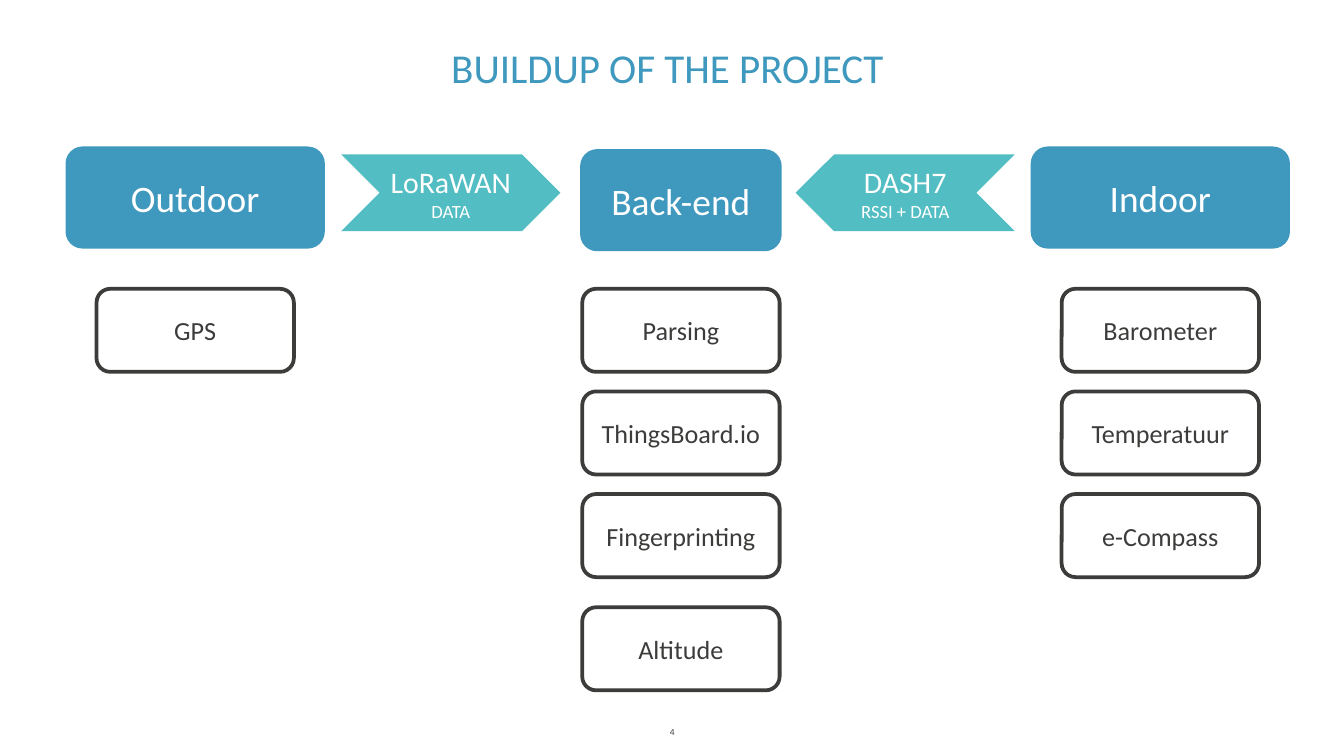
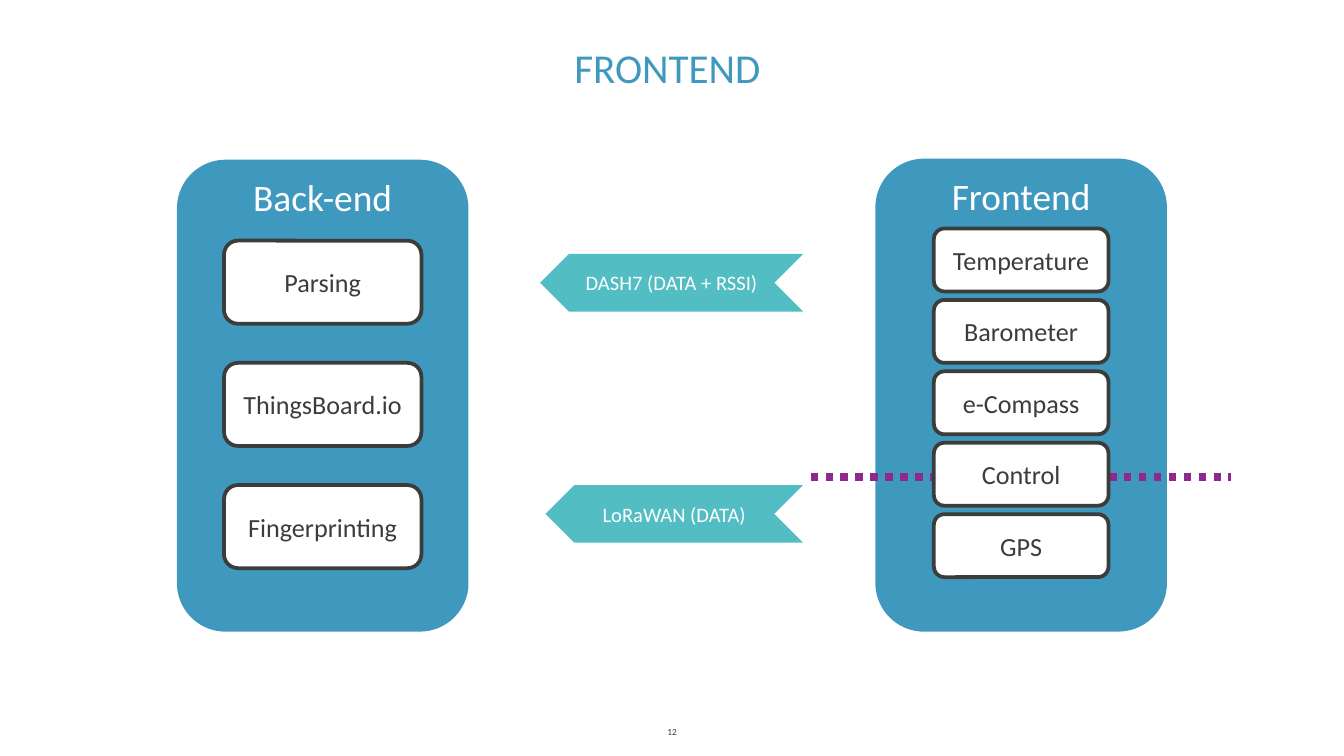
from lxml.etree import SubElement
from pptx import Presentation
from pptx.dml.color import RGBColor
from pptx.enum.dml import MSO_LINE
from pptx.enum.shapes import MSO_CONNECTOR, MSO_SHAPE
from pptx.enum.text import MSO_ANCHOR, PP_ALIGN
from pptx.oxml.ns import qn
from pptx.util import Cm, Pt

# Content: slide 1
BUILDUP = {"title": "BUILDUP OF THE PROJECT", "number": "4"}
# heading, centre, top, width, modules
COLUMNS = [
    ("Outdoor", 3.69, 2.77, 4.9, ["GPS"]),
    ("Back-end", 12.87, 2.82, 3.81,
     ["Parsing", "ThingsBoard.io", "Fingerprinting", "Altitude"]),
    ("Indoor", 21.93, 2.77, 4.9, ["Barometer", "Temperatuur", "e-Compass"]),
]
# protocol, payload, left, points left
PROTOCOLS = [("LoRaWAN", "DATA", 6.45, False), ("DASH7", "RSSI + DATA", 15.04, True)]

# Content: slide 2
FRONTEND = {"title": "FRONTEND", "number": "12"}
# heading, centre, top, modules, first module top, pitch, module size
PANELS = [
    ("Back-end", 6.1, 3.02, ["Parsing", "ThingsBoard.io", "Fingerprinting"],
     4.55, 2.31, (3.73, 1.57)),
    ("Frontend", 19.3, 3.0, ["Temperature", "Barometer", "e-Compass", "Control", "GPS"],
     4.32, 1.35, (3.3, 1.19)),
]
# label, left, top
LINKS = [("DASH7 (DATA + RSSI)", 10.21, 4.8), ("LoRaWAN (DATA)", 10.31, 9.17)]

# Shared look
COLOURS = {"blue": "3F98BD", "teal": "52BDC2", "dark": "3C3C3B",
           "white": "FFFFFF", "purple": "90298D"}
FONT = "Calibri"
MODULE_SIZE = (3.73, 1.57)
HEADING_HEIGHT = 2.01 - 0.08
PANEL_WIDTH, PANEL_BOTTOM = 5.51, 11.94
LINK_RIGHT = 15.18

FRAME = {"word_wrap": True, "vertical_anchor": MSO_ANCHOR.MIDDLE,
         "margin_left": 0, "margin_right": 0}


def colour(name):
    return RGBColor.from_string(COLOURS[name])


def write(shape, lines, ink, **frame_format):
    """Fill a shape with centred lines, each given as (text, size)."""
    frame = shape.text_frame
    for name, value in {**FRAME, **frame_format}.items():
        setattr(frame, name, value)
    for index, (text, size) in enumerate(lines):
        paragraph = frame.add_paragraph() if index else frame.paragraphs[0]
        paragraph.alignment = PP_ALIGN.CENTER
        run = paragraph.add_run()
        run.text = text
        for name, value in {"name": FONT, "size": Pt(size)}.items():
            setattr(run.font, name, value)
        run.font.color.rgb = colour(ink)


def add_text(slide, box, text, size, ink, **frame_format):
    shape = slide.shapes.add_textbox(*map(Cm, box))
    write(shape, [(text, size)], ink, **frame_format)


def add_block(slide, kind, box, fill, lines, ink="white", outline=None, **frame_format):
    shape = slide.shapes.add_shape(kind, *map(Cm, box))
    shape.shadow.inherit = False
    shape.fill.solid()
    shape.fill.fore_color.rgb = colour(fill)
    if outline:
        shape.line.color.rgb = colour(outline)
        shape.line.width = Pt(2)
    else:
        shape.line.fill.background()
    write(shape, lines, ink, **frame_format)
    return shape


def add_heading(slide, centre, top, width, height, text, **frame_format):
    add_block(slide, MSO_SHAPE.ROUNDED_RECTANGLE, (centre - width / 2, top, width, height),
              "blue", [(text, 20)], **frame_format)


def add_module(slide, centre, top, size, text):
    add_block(slide, MSO_SHAPE.ROUNDED_RECTANGLE, (centre - size[0] / 2, top, *size),
              "white", [(text, 14)], ink="dark", outline="dark")


def add_chevron(slide, box, lines, points_left):
    shape = add_block(slide, MSO_SHAPE.CHEVRON, box, "teal", lines)
    if points_left:
        shape.element.spPr.find(qn("a:xfrm")).set("flipH", "1")


def add_dotted_line(slide, left, right, height):
    line = slide.shapes.add_connector(
        MSO_CONNECTOR.STRAIGHT, Cm(left), Cm(height), Cm(right), Cm(height))
    line.line.color.rgb = colour("purple")
    for name, value in {"width": Pt(4), "dash_style": MSO_LINE.ROUND_DOT}.items():
        setattr(line.line, name, value)
    SubElement(line.element.spPr, qn("a:effectLst"))


def add_slide(presentation, title, number):
    slide = presentation.slides.add_slide(presentation.slide_layouts[6])
    add_text(slide, (0.46, 0.66, 24.31, 1.19), title, 22, "blue",
             vertical_anchor=MSO_ANCHOR.BOTTOM)
    add_text(slide, (11.51, 13.59, 2.39, 0.48), number, 5, "dark")
    return slide


def build_buildup(presentation):
    slide = add_slide(presentation, **BUILDUP)
    # Columns: the fourth module stands slightly apart
    for heading, centre, top, width, modules in COLUMNS:
        add_heading(slide, centre, top, width, HEADING_HEIGHT, heading)
        for row, module in enumerate(modules):
            module_top = 5.46 + row * 1.94 + (0.2 if row == 3 else 0)
            add_module(slide, centre, module_top, MODULE_SIZE, module)
    # Protocols between the columns
    for protocol, payload, left, points_left in PROTOCOLS:
        add_chevron(slide, (left, 2.92, 4.14, 1.45),
                    [(protocol, 16), (payload, 10)], points_left)


def build_frontend(presentation):
    slide = add_slide(presentation, **FRONTEND)
    # Panels, then the dotted line that passes behind the modules
    for heading, centre, top, *_ in PANELS:
        add_heading(slide, centre, top, PANEL_WIDTH, PANEL_BOTTOM - top, heading,
                    vertical_anchor=MSO_ANCHOR.TOP, margin_top=0)
    add_dotted_line(slide, 15.32, 23.27, 9.02)
    for _, centre, _, modules, first_top, pitch, size in PANELS:
        for row, module in enumerate(modules):
            add_module(slide, centre, first_top + row * pitch, size, module)
    # Links from frontend to back-end
    for label, left, top in LINKS:
        add_chevron(slide, (left, top, LINK_RIGHT - left, 1.09), [(label, 11)], True)


def main():
    presentation = Presentation()
    presentation.slide_width = Cm(25.4)
    presentation.slide_height = Cm(14.29)
    build_buildup(presentation)
    build_frontend(presentation)
    presentation.save("out.pptx")


if __name__ == "__main__":
    main()
